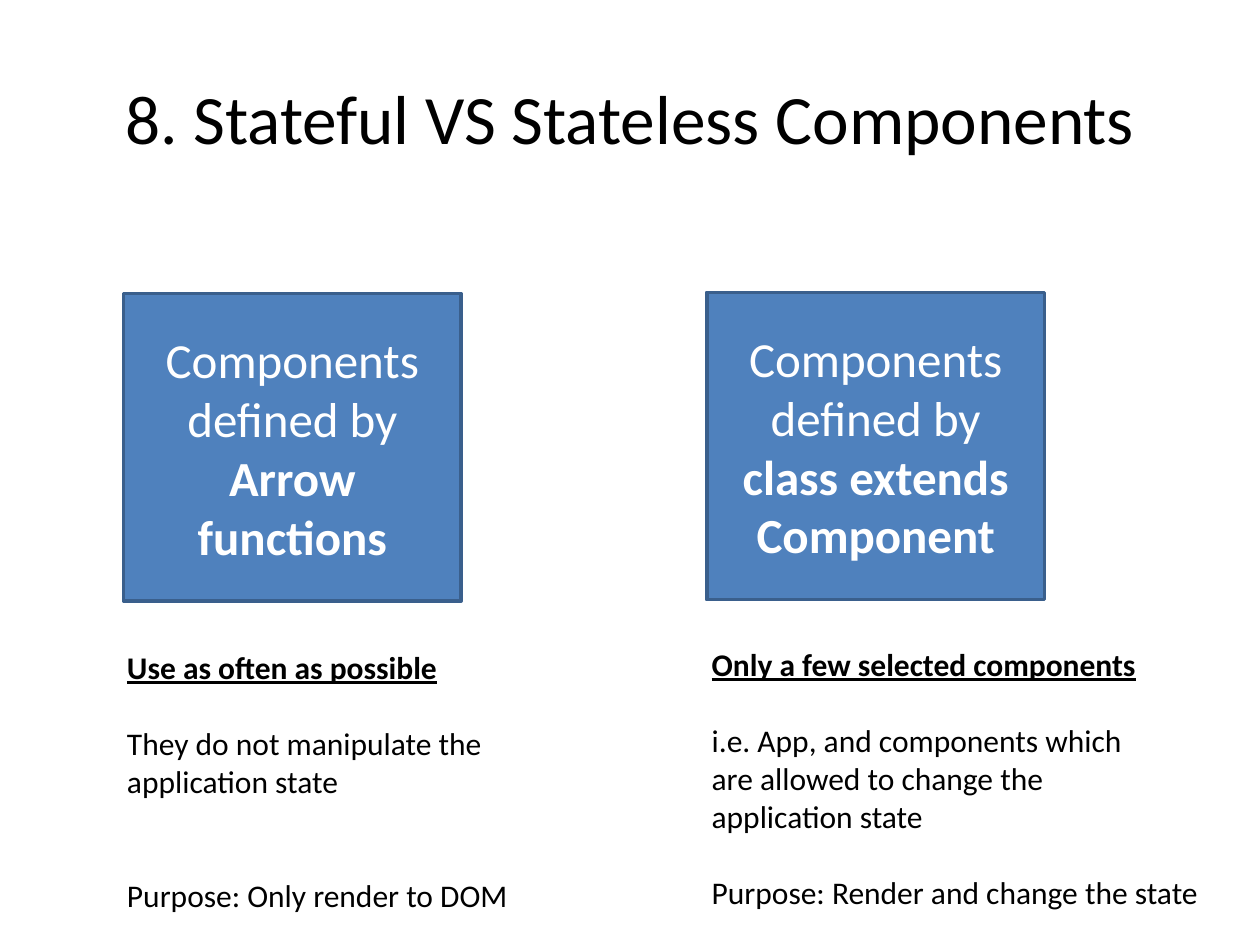
from dataclasses import dataclass

from pptx import Presentation
from pptx.dml.color import RGBColor
from pptx.enum.shapes import MSO_SHAPE as SHAPE
from pptx.enum.text import MSO_ANCHOR as ANCHOR, MSO_AUTO_SIZE as AUTO_SIZE, PP_ALIGN as ALIGN
from pptx.util import Inches, Pt


@dataclass(frozen=True)
class Theme:
    font: str = "Calibri"
    text: RGBColor = RGBColor(0x00, 0x00, 0x00)
    box_text: RGBColor = RGBColor(0xFF, 0xFF, 0xFF)
    box_fill: RGBColor = RGBColor(0x4F, 0x81, 0xBD)
    box_line: RGBColor = RGBColor(0x3A, 0x5F, 0x8C)
    title_size: float = 39.6
    box_size: float = 28
    note_size: float = 18
    note_line: float = 22  # height of one line of notes, in points
    border: float = 2


THEME = Theme()

# One column per kind of component; each note is (blank lines above it, text)
COLUMNS = [
    {
        "box_at": (0.98, 2.33),
        "keyword": "Arrow functions",
        "notes_at": (0.91, 5.09, 3.26, 2.22),
        "heading": "Use as often as possible",
        "notes": [
            (1, "They do not manipulate the"),
            (0, "application state"),
            (2, "Purpose: Only render to DOM"),
        ],
    },
    {
        "box_at": (5.61, 2.32),
        "keyword": "class extends Component",
        "notes_at": (5.55, 5.07, 4.17, 2.22),
        "heading": "Only a few selected components",
        "notes": [
            (1, "i.e. App, and components which"),
            (0, "are allowed to change the"),
            (0, "application state"),
            (1, "Purpose: Render and change the state"),
        ],
    },
]


def add_run(p, text, size, color, **extra):
    r = p.add_run()
    r.text = text
    formats = {"name": THEME.font, "size": Pt(size), **extra}
    for name, value in formats.items():
        setattr(r.font, name, value)
    r.font.color.rgb = color


def add_title(s, text):
    sp = s.shapes.add_textbox(Inches(0.5), Inches(0.3), Inches(9), Inches(1.25))
    tf = sp.text_frame
    tf.word_wrap = True
    tf.vertical_anchor = ANCHOR.MIDDLE
    p = tf.paragraphs[0]
    p.alignment = ALIGN.CENTER
    add_run(p, text, THEME.title_size, THEME.text)


def add_box(s, at, keyword):
    left, top = at
    sp = s.shapes.add_shape(SHAPE.RECTANGLE, Inches(left), Inches(top), Inches(2.68), Inches(2.44))
    sp.shadow.inherit = False
    sp.fill.solid()
    sp.fill.fore_color.rgb = THEME.box_fill
    sp.line.color.rgb = THEME.box_line
    sp.line.width = Pt(THEME.border)
    tf = sp.text_frame
    tf.word_wrap = True
    tf.vertical_anchor = ANCHOR.MIDDLE
    p = tf.paragraphs[0]
    p.alignment = ALIGN.CENTER
    add_run(p, "Components defined by ", THEME.box_size, THEME.box_text)
    add_run(p, keyword, THEME.box_size, THEME.box_text, bold=True)


def add_notes(s, at, heading, notes):
    sp = s.shapes.add_textbox(*map(Inches, at))
    tf = sp.text_frame
    tf.word_wrap = False
    tf.auto_size = AUTO_SIZE.SHAPE_TO_FIT_TEXT
    add_run(tf.paragraphs[0], heading, THEME.note_size, THEME.text, bold=True, underline=True)
    for gap, text in notes:
        p = tf.add_paragraph()
        p.space_before = Pt(gap * THEME.note_line)
        add_run(p, text, THEME.note_size, THEME.text)


def main():
    prs = Presentation()
    prs.slide_width, prs.slide_height = Inches(10), Inches(7.5)
    s = prs.slides.add_slide(prs.slide_layouts[6])

    # Title
    add_title(s, "8. Stateful VS Stateless Components")

    # Boxes, then the notes below them
    for column in COLUMNS:
        add_box(s, column["box_at"], column["keyword"])
    for column in COLUMNS:
        add_notes(s, column["notes_at"], column["heading"], column["notes"])

    prs.save("out.pptx")


if __name__ == "__main__":
    main()
